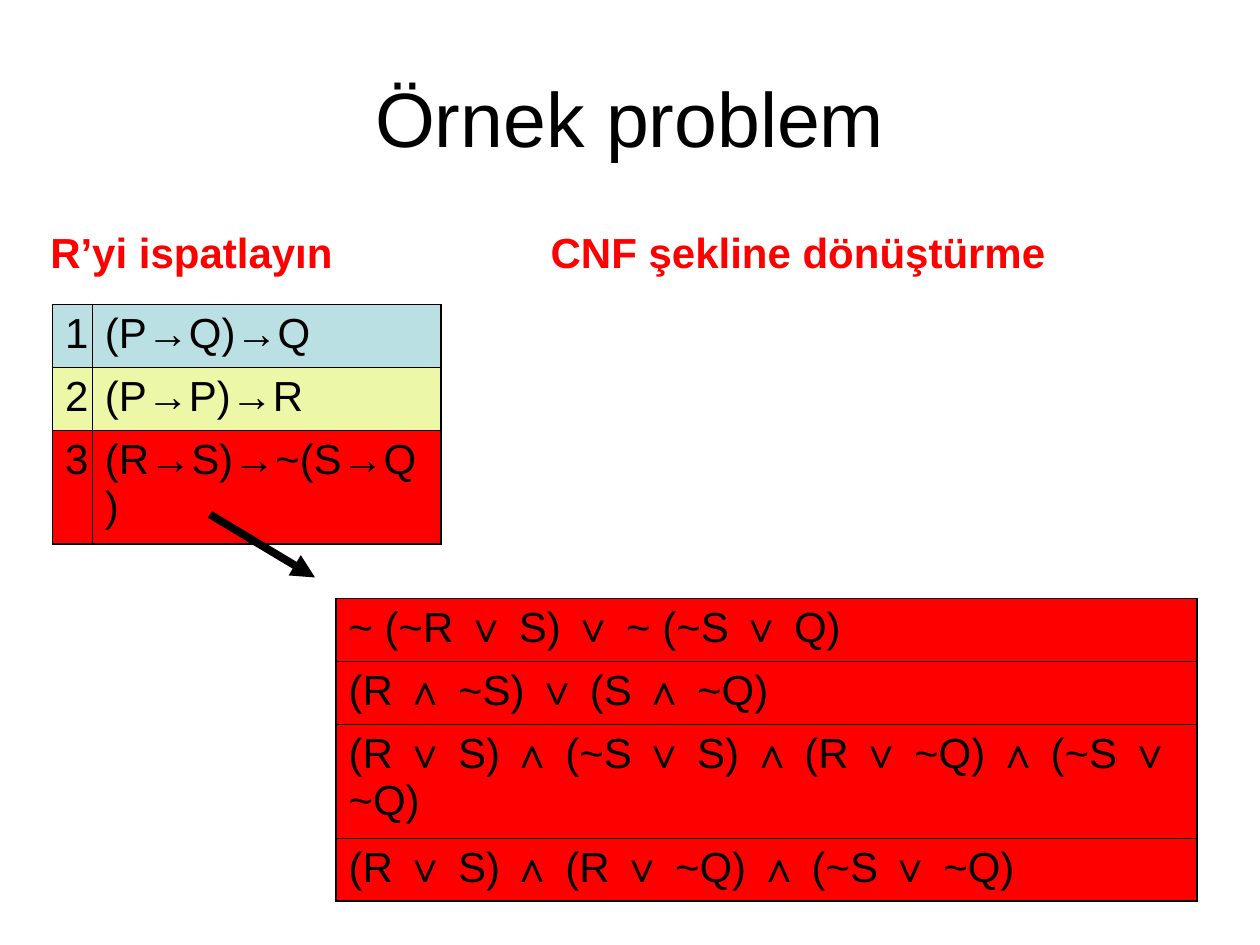
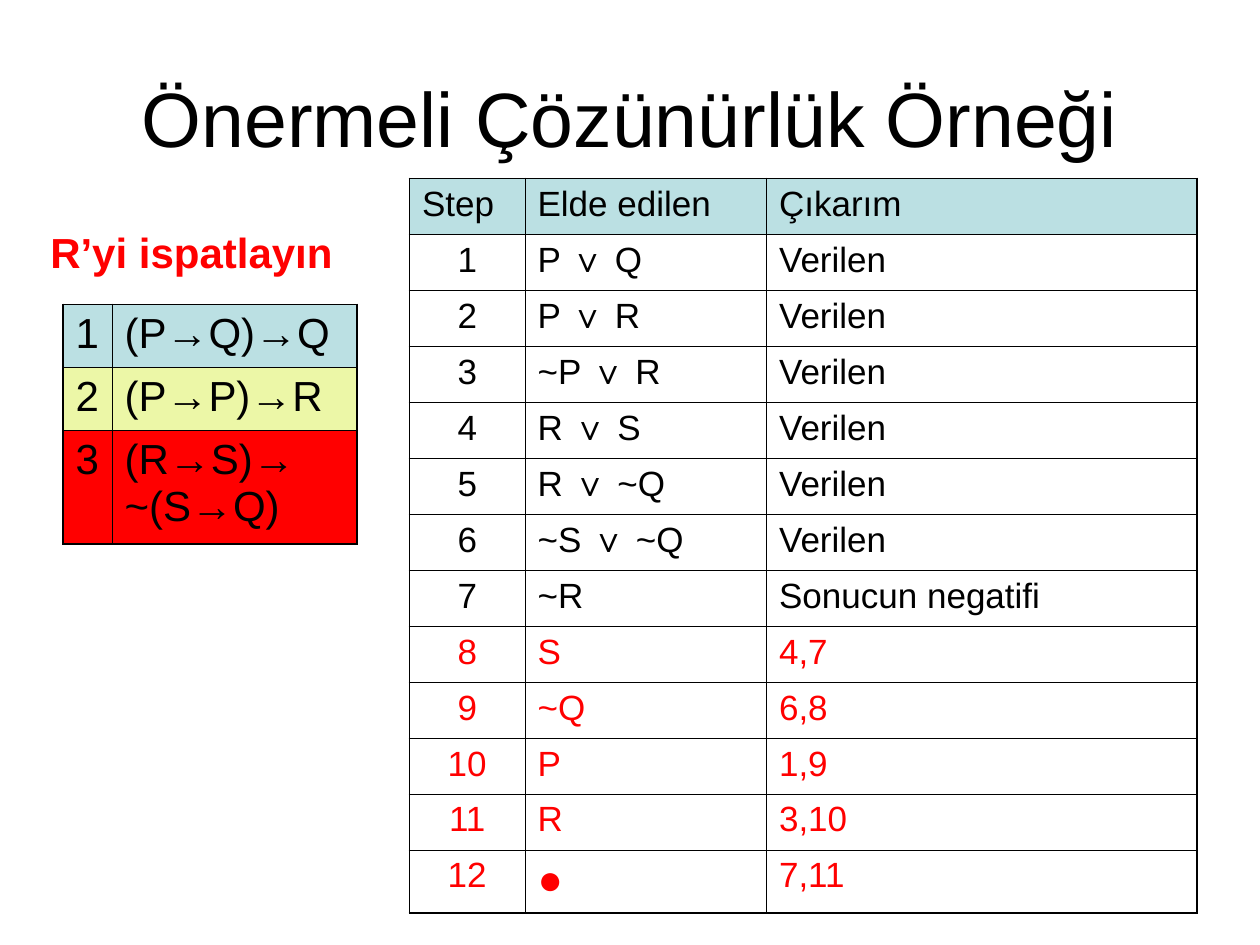
from dataclasses import dataclass
from typing import Optional

from lxml.etree import SubElement
from pptx import Presentation
from pptx.dml.color import RGBColor
from pptx.enum.shapes import MSO_CONNECTOR as Connector
from pptx.enum.text import MSO_ANCHOR as Anchor, PP_ALIGN as Align
from pptx.oxml.ns import qn
from pptx.slide import Slide
from pptx.util import Pt

BLACK = RGBColor(0x00, 0x00, 0x00)
RED = RGBColor(0xFF, 0x00, 0x00)
BLUE = RGBColor(0xBB, 0xE0, 0xE3)
YELLOW = RGBColor(0xEC, 0xF7, 0xA7)
FONT = "Arial"
OUTER, INNER = Pt(1.08), Pt(0.45)


@dataclass
class Label:
    """A centred line of text; positions and sizes are in points."""
    text: str
    left: float
    top: float
    width: float
    height: float
    size: float = 24
    color: RGBColor = RED
    bold: bool = True
    wrap: bool = True


@dataclass
class Row:
    """One table row with its look."""
    texts: list[str]
    height: float = 36
    fill: Optional[RGBColor] = None
    color: RGBColor = BLACK
    center_first: bool = False


@dataclass
class Grid:
    """A ruled table; positions and sizes are in points."""
    left: float
    top: float
    columns: list[float]
    rows: list[Row]
    size: float = 24


PROVE_R = Label("R’yi ispatlayın", 21.6, 126, 175.6, 36, wrap=False)
CNF_HEADING = Label("CNF şekline dönüştürme", 282, 126, 348, 36)

CNF_STEPS = [
    "~ (~R ∨ S) ∨ ~ (~S ∨ Q)",
    "(R ∧ ~S) ∨ (S ∧ ~Q)",
    "(R ∨ S) ∧ (~S ∨ S) ∧ (R ∨ ~Q) ∧ (~S ∨ ~Q)",
    "(R ∨ S) ∧ (R ∨ ~Q) ∧ (~S ∨ ~Q)",
]
GIVEN = [(clause, "Verilen") for clause in
         ("P ∨ Q", "P ∨ R", "~P ∨ R", "R ∨ S", "R ∨ ~Q", "~S ∨ ~Q")]
NEGATED_GOAL = ("~R", "Sonucun negatifi")
DERIVED = [("S", "4,7"), ("~Q", "6,8"), ("P", "1,9"), ("R", "3,10"), ("●", "7,11")]
EMPTY_CLAUSE = "●"


def style_text(paragraph, size: float, color: RGBColor, bold: bool = False) -> None:
    """Format every run of a paragraph."""
    for run in paragraph.runs:
        run.font.name, run.font.size, run.font.bold = FONT, Pt(size), bold
        run.font.color.rgb = color


def draw_label(slide: Slide, label: Label) -> None:
    """Place one centred label."""
    box = slide.shapes.add_textbox(
        Pt(label.left), Pt(label.top), Pt(label.width), Pt(label.height))
    frame = box.text_frame
    frame.text = label.text
    frame.word_wrap = label.wrap
    frame.vertical_anchor = Anchor.MIDDLE
    frame.paragraphs[0].alignment = Align.CENTER
    style_text(frame.paragraphs[0], label.size, label.color, label.bold)


def rule_cell(cell, widths: dict[str, int]) -> None:
    """Draw black cell borders with the given widths."""
    properties = cell._tc.get_or_add_tcPr()
    for side, width in widths.items():
        line = SubElement(properties, qn(f"a:ln{side}"), w=str(int(width)))
        fill = SubElement(line, qn("a:solidFill"))
        SubElement(fill, qn("a:srgbClr"), val=str(BLACK))


def draw_grid(slide: Slide, grid: Grid) -> None:
    """Place a table with a thick frame and thin inner rules."""
    last_row, last_column = len(grid.rows) - 1, len(grid.columns) - 1
    table = slide.shapes.add_table(
        len(grid.rows), len(grid.columns), Pt(grid.left), Pt(grid.top),
        Pt(sum(grid.columns)), Pt(sum(row.height for row in grid.rows))).table
    table.first_row = table.horz_banding = False
    for column, width in zip(table.columns, grid.columns):
        column.width = Pt(width)
    for r, row in enumerate(grid.rows):
        table.rows[r].height = Pt(row.height)
        for c, text in enumerate(row.texts):
            cell = table.cell(r, c)
            rule_cell(cell, {
                "L": OUTER if c == 0 else INNER,
                "R": OUTER if c == last_column else INNER,
                "T": OUTER if r == 0 else INNER,
                "B": OUTER if r == last_row else INNER,
            })
            if row.fill is None:
                cell.fill.background()
            else:
                cell.fill.solid()
                cell.fill.fore_color.rgb = row.fill
            size = 24 if text == EMPTY_CLAUSE else grid.size
            paragraph = cell.text_frame.paragraphs[0]
            paragraph.text = text
            paragraph.space_before = Pt(size / 4)
            if row.center_first and c == 0:
                paragraph.alignment = Align.CENTER
            style_text(paragraph, size, row.color)


def draw_arrow(slide: Slide, start: tuple[float, float], end: tuple[float, float]) -> None:
    """Draw a thick black arrow between two points."""
    arrow = slide.shapes.add_connector(Connector.STRAIGHT, *map(Pt, start + end))
    arrow.line.color.rgb = BLACK
    arrow.line.width = Pt(4.5)
    SubElement(arrow.line._get_or_add_ln(), qn("a:tailEnd"), type="triangle")
    SubElement(arrow._element.spPr, qn("a:effectLst"))


def premises(left: float, columns: list[float], third: str) -> Grid:
    """Describe the table of the three premises."""
    return Grid(left, 174, columns, [
        Row(["1", "(P→Q)→Q"], fill=BLUE),
        Row(["2", "(P→P)→R"], fill=YELLOW),
        Row(["3", third], 64.8, RED),
    ])


def resolution_steps() -> Grid:
    """Describe the numbered resolution proof."""
    rows = [Row(["Step", "Elde edilen", "Çıkarım"], 32, BLUE)]
    for number, step in enumerate([*GIVEN, NEGATED_GOAL, *DERIVED], 1):
        rows.append(Row([str(number), *step],
                        36 if EMPTY_CLAUSE in step else 32,
                        color=RED if step in DERIVED else BLACK,
                        center_first=True))
    return Grid(234, 102, [66, 138, 246], rows, 20)


def add_problem_slide(deck, title: str) -> Slide:
    """Add a slide with its title and the shared goal."""
    slide = deck.slides.add_slide(deck.slide_layouts[6])
    draw_label(slide, Label(title, 36, 21.6, 648, 90, 44, BLACK, False))
    draw_label(slide, PROVE_R)
    return slide


def main() -> None:
    """Build and save the deck."""
    deck = Presentation()
    deck.slide_width, deck.slide_height = Pt(720), Pt(540)

    conversion = add_problem_slide(deck, "Örnek problem")
    draw_grid(conversion, premises(30, [22.8, 199.2], "(R→S)→~(S→Q)"))
    draw_grid(conversion, Grid(192, 342, [492],
                               [Row([step], fill=RED) for step in CNF_STEPS]))
    draw_label(conversion, CNF_HEADING)
    draw_arrow(conversion, (120, 294), (180, 330))

    proof = add_problem_slide(deck, "Önermeli Çözünürlük Örneği")
    draw_grid(proof, premises(36, [28, 140], "(R→S)→ ~(S→Q)"))
    draw_grid(proof, resolution_steps())

    deck.save("out.pptx")


if __name__ == "__main__":
    main()
